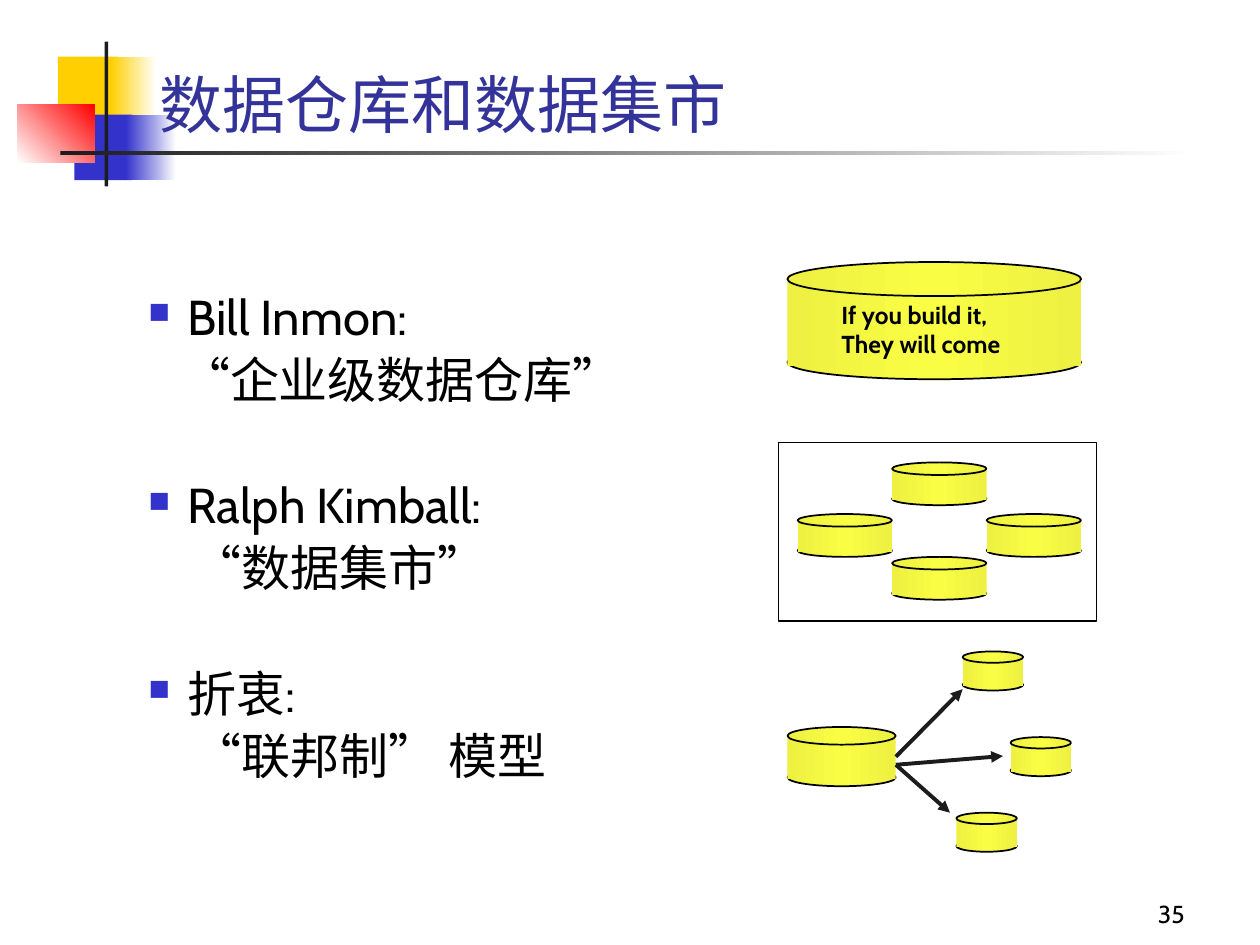
"""Build the slide on data warehouses and data marts."""
from copy import deepcopy
from dataclasses import dataclass

from lxml import etree
from pptx import Presentation
from pptx.dml.color import RGBColor
from pptx.enum.shapes import MSO_CONNECTOR, MSO_SHAPE
from pptx.enum.text import MSO_ANCHOR, PP_ALIGN
from pptx.oxml.ns import qn
from pptx.util import Inches, Pt

RECT, OVAL = MSO_SHAPE.RECTANGLE, MSO_SHAPE.OVAL
STRAIGHT = MSO_CONNECTOR.STRAIGHT
TOP, BOTTOM = MSO_ANCHOR.TOP, MSO_ANCHOR.BOTTOM
LEFT, RIGHT = PP_ALIGN.LEFT, PP_ALIGN.RIGHT
RIGHT_SIDE = 3


@dataclass(frozen=True)
class Theme:
    font: str = "Cabin"
    title_size: int = 36
    body_size: int = 28
    small_size: int = 14
    title: str = "333399"
    text: str = "000000"
    ink: str = "1C1C1C"
    blue: str = "3333CC"
    gold: str = "FFCF01"
    red: str = "FF0000"
    white: str = "FFFFFF"
    cylinder: tuple = ("EEF141", "F9FD44", "EEF141")


class SlideBuilder:
    def __init__(self, slide, theme):
        self.slide, self.theme = slide, theme

    def shape(self, kind, left, top, width, height, colors=(), angle=0, line=None):
        shape = self.slide.shapes.add_shape(
            kind, Inches(left), Inches(top), Inches(width), Inches(height))
        shape.shadow.inherit = False
        if len(colors) > 1:
            self.gradient(shape, colors, angle)
        elif colors:
            shape.fill.solid()
            shape.fill.fore_color.rgb = RGBColor.from_string(colors[0])
        else:
            shape.fill.background()
        if line:
            shape.line.color.rgb = RGBColor.from_string(self.theme.text)
            shape.line.width = Pt(line)
        else:
            shape.line.fill.background()
        return shape

    def gradient(self, shape, colors, angle):
        shape.fill.gradient()
        shape.fill.gradient_angle = angle
        stop_list = shape.element.spPr.find(qn("a:gradFill")).find(qn("a:gsLst"))
        while len(stop_list) < len(colors):
            stop_list.append(deepcopy(stop_list[-1]))
        for index, stop in enumerate(shape.fill.gradient_stops):
            stop.position = index / (len(colors) - 1)
            stop.color.rgb = RGBColor.from_string(colors[index])

    def cylinder(self, left, top, width, lid, drop):
        colors = self.theme.cylinder
        self.shape(OVAL, left, top + drop, width, lid, colors, line=1)
        body = self.shape(RECT, left, top + 0.4 * lid, width, 1.09 * drop, colors)
        self.shape(OVAL, left, top, width, lid, colors, line=1)
        return body

    def arrow(self, start, end, source=None):
        arrow = self.slide.shapes.add_connector(
            STRAIGHT, *(Inches(value) for value in start + end))
        if source is not None:
            arrow.begin_connect(source, RIGHT_SIDE)
        arrow.line.color.rgb = RGBColor.from_string(self.theme.ink)
        arrow.line.width = Pt(2.25)
        etree.SubElement(arrow.line._get_or_add_ln(), qn("a:tailEnd"), type="triangle")
        etree.SubElement(arrow._element.spPr, qn("a:effectLst"))

    def frame(self, left, top, width, height, anchor=TOP, wrap=True):
        box = self.slide.shapes.add_textbox(
            Inches(left), Inches(top), Inches(width), Inches(height))
        box.text_frame.word_wrap = wrap
        box.text_frame.vertical_anchor = anchor
        return box.text_frame

    def style(self, paragraph, size, color, bold=False):
        paragraph.font.name = self.theme.font
        paragraph.font.size = Pt(size)
        paragraph.font.bold = bold
        paragraph.font.color.rgb = RGBColor.from_string(color)

    def text(self, lines, box, size, color, align=LEFT, anchor=TOP, bold=False, wrap=True):
        frame = self.frame(*box, anchor, wrap)
        frame.text = "\n".join(lines)
        for paragraph in frame.paragraphs:
            paragraph.alignment = align
            self.style(paragraph, size, color, bold)

    def bullet(self, properties):
        color = etree.SubElement(properties, qn("a:buClr"))
        etree.SubElement(color, qn("a:srgbClr"), val=self.theme.blue)
        etree.SubElement(properties, qn("a:buSzPct"), val="60000")
        etree.SubElement(properties, qn("a:buChar"), char="■")

    def approaches(self, entries, box):
        frame = self.frame(*box)
        frame.text = "\n".join(line for name, idea, _ in entries for line in (name, idea))
        for index, paragraph in enumerate(frame.paragraphs):
            entry, is_idea = divmod(index, 2)
            properties = paragraph._p.get_or_add_pPr()
            paragraph.line_spacing = 0.9
            if is_idea:
                paragraph.space_before = Pt(5.6)
                properties.set("marL", str(Inches(entries[entry][2])))
                properties.set("indent", "0")
            else:
                paragraph.space_before = Pt(41.4 if entry else 0)
                properties.set("marL", str(Inches(0.31)))
                properties.set("indent", str(Inches(-0.31)))
                self.bullet(properties)
            self.style(paragraph, self.theme.body_size, self.theme.text)


def main():
    theme = Theme()
    deck = Presentation()
    deck.slide_width, deck.slide_height = Inches(10), Inches(7.5)
    page = SlideBuilder(deck.slides.add_slide(deck.slide_layouts[6]), theme)

    page.shape(RECT, 0.46, 0.45, 0.48, 0.52, [theme.gold])
    page.shape(RECT, 0.88, 0.45, 0.36, 0.52, [theme.gold, theme.white])
    page.shape(RECT, 0.59, 0.91, 0.46, 0.52, [theme.blue])
    page.shape(RECT, 1, 0.91, 0.4, 0.52, [theme.blue, theme.white])
    page.shape(RECT, 0.14, 0.83, 0.61, 0.46, [theme.white, theme.red], angle=45)
    page.shape(RECT, 0.83, 0.33, 0.03, 1.15, [theme.ink])
    page.shape(RECT, 0.48, 1.2, 9, 0.03, [theme.ink, theme.white])

    page.text(["35"], (7.42, 6.92, 2.08, 0.5), theme.small_size, theme.text,
              align=RIGHT, anchor=BOTTOM)
    page.text(["数据仓库和数据集市"], (1.17, 0.5, 8.52, 0.67), theme.title_size,
              theme.title, anchor=BOTTOM)
    page.approaches([("Bill Inmon:", "“企业级数据仓库”", 0.26),
                     ("Ralph Kimball:", "“数据集市”", 0.35),
                     ("折衷:", "“联邦制” 模型", 0.35)], (1.08, 2.28, 3.97, 4.33))

    page.cylinder(6.25, 2.08, 2.33, 0.27, 0.66)
    page.text(["If you build it,", "They will come"], (6.58, 2.33, 1.66, 0.57),
              theme.small_size, theme.text, bold=True, wrap=False)

    page.shape(RECT, 6.18, 3.51, 2.52, 1.42, line=0.75)
    for left, top in [(7.08, 3.67), (7.08, 4.42), (6.33, 4.08), (7.83, 4.08)]:
        page.cylinder(left, top, 0.75, 0.1, 0.24)

    hub = page.cylinder(6.25, 5.77, 0.86, 0.14, 0.33)
    for left, top in [(7.64, 5.17), (8.02, 5.85), (7.59, 6.45)]:
        page.cylinder(left, top, 0.48, 0.09, 0.22)
    page.arrow((7.11, 6), (7.64, 5.47), hub)
    for end in [(7.96, 6), (7.54, 6.45)]:
        page.arrow((7.11, 6.07), end)

    deck.save("out.pptx")


if __name__ == "__main__":
    main()
